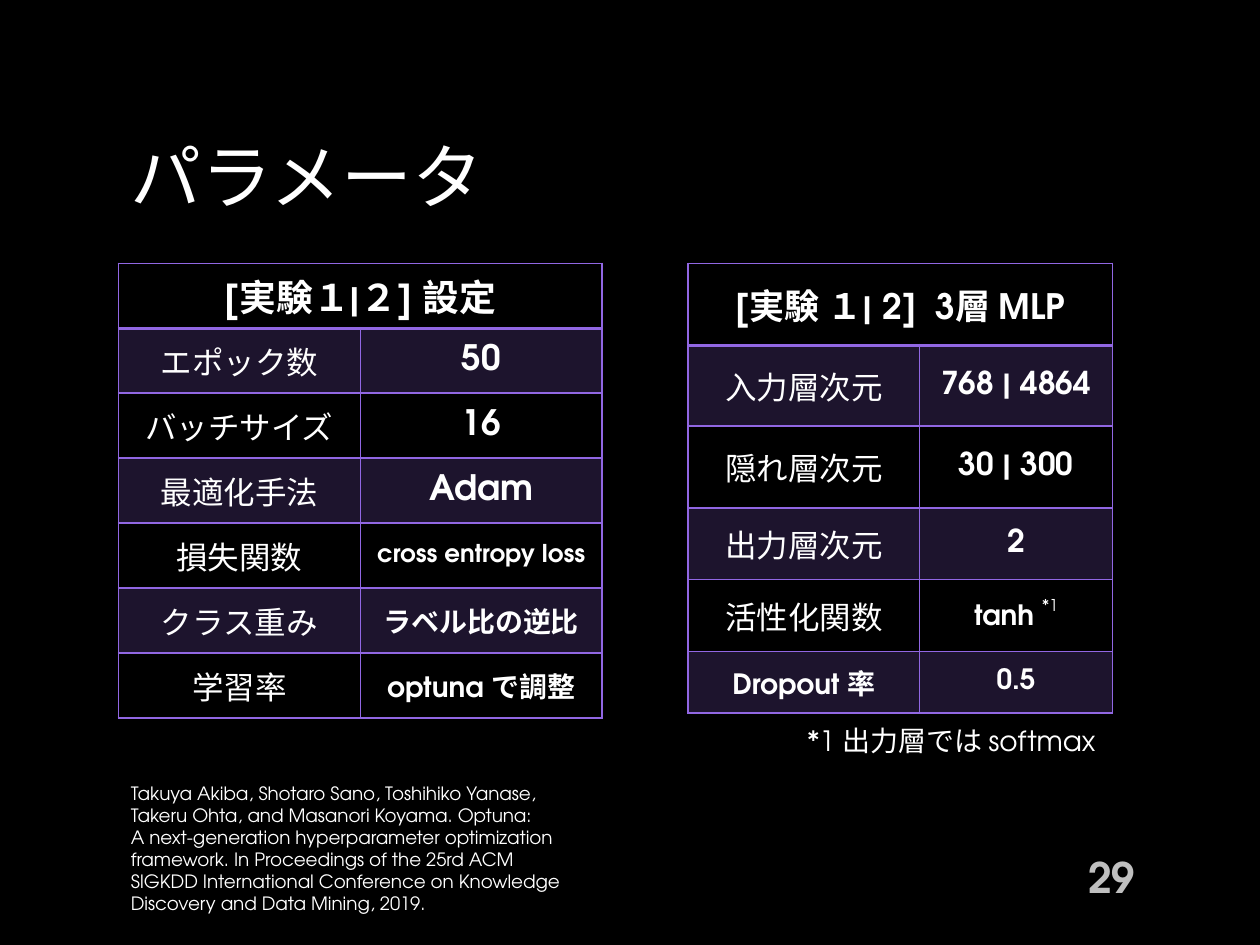
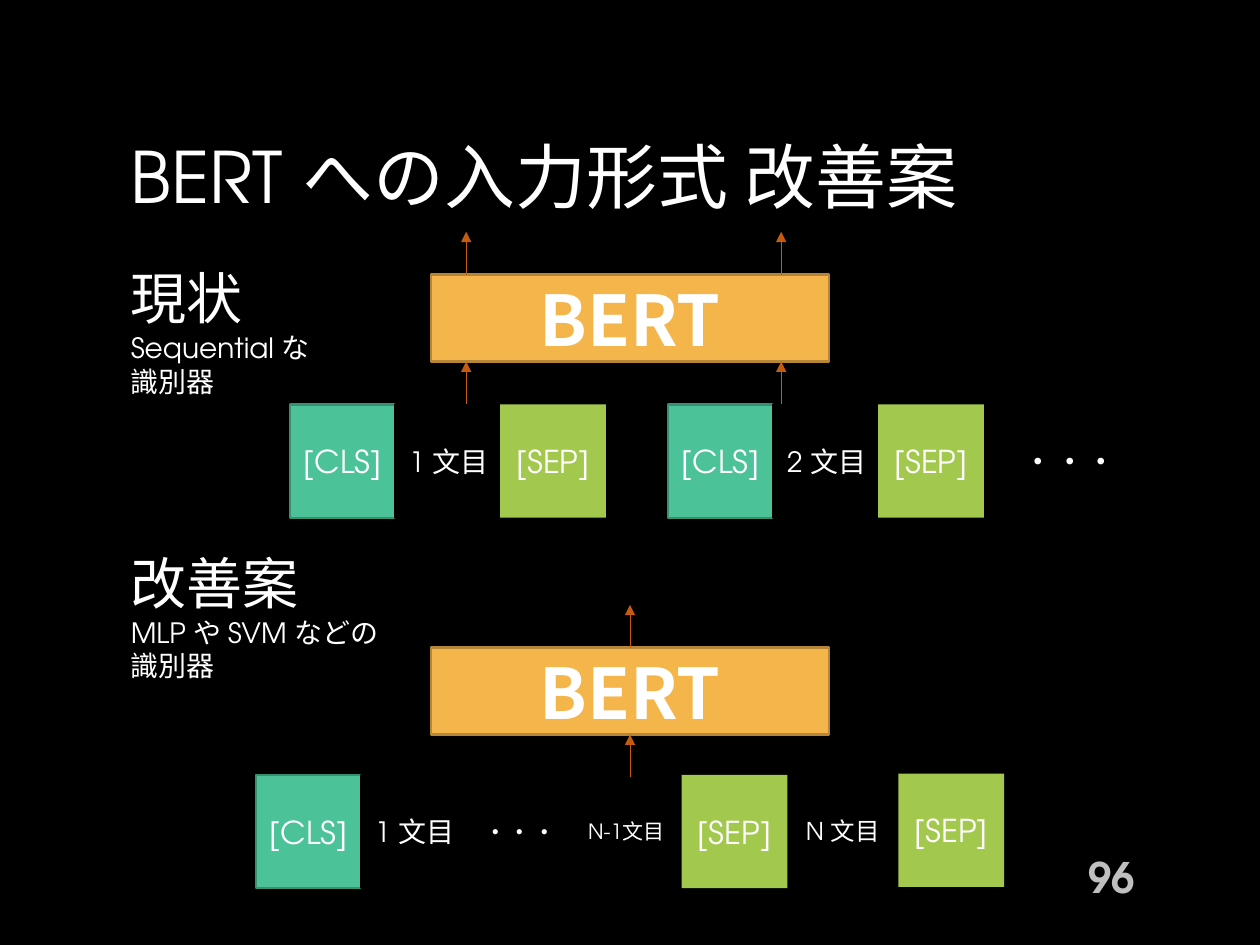
from dataclasses import dataclass
from lxml.etree import SubElement
from pptx import Presentation
from pptx.dml.color import RGBColor as RGB
from pptx.enum.shapes import MSO_CONNECTOR as LINE, MSO_SHAPE as SHAPE
from pptx.enum.text import MSO_ANCHOR as ANCHOR, PP_ALIGN as ALIGN
from pptx.oxml.ns import qn
from pptx.util import Pt

PX = 9144


@dataclass(frozen=True)
class Theme:
    back: str = "000000"
    text: str = "FFFFFF"
    muted: str = "BFBFBF"
    grid: str = "9167E3"
    arrow: str = "C55A11"
    model: str = "F4B54B"
    model_edge: str = "B58637"
    cls: str = "4BC298"
    cls_edge: str = "379070"
    sep: str = "A2C84E"
    font: str = "TeX Gyre Adventor"
    cjk: str = "Noto Sans CJK JP"
    title: float = 40.5
    model_name: int = 40
    heading: int = 32
    page: int = 24
    body: int = 18
    note: int = 16
    small: int = 14
    tiny: int = 12
    cite: float = 10.5


T = Theme()


def emu(*lengths):
    return [round(n * PX) for n in lengths]


def style(p, size, color=T.text, bold=False, align=ALIGN.LEFT, font=T.font):
    p.alignment = align
    for r in p.runs:
        r.font.size, r.font.bold, r.font.name = Pt(size), bold, font
        r.font.color.rgb = RGB.from_string(color)
        SubElement(r._r.get_or_add_rPr(), qn("a:ea"), typeface=T.cjk)


def add_text(s, box, lines, sizes, anchor=ANCHOR.TOP, **look):
    tf = s.shapes.add_textbox(*emu(*box)).text_frame
    tf.word_wrap = True
    tf.vertical_anchor = anchor
    tf.text = "\n".join(lines)
    for p, size in zip(tf.paragraphs, sizes):
        style(p, size, **look)


def add_slide(prs, title, page):
    s = prs.slides.add_slide(prs.slide_layouts[6])
    s.background.fill.solid()
    s.background.fill.fore_color.rgb = RGB.from_string(T.back)
    add_text(s, (94, 94, 812, 90), [title], [T.title], ANCHOR.MIDDLE)
    add_text(s, (781, 676, 130, 40), [page], [T.page], ANCHOR.MIDDLE,
             color=T.muted, bold=True, align=ALIGN.RIGHT)
    return s


def add_box(s, box, text, size, fill, edge=None, **look):
    sp = s.shapes.add_shape(SHAPE.RECTANGLE, *emu(*box))
    sp.shadow.inherit = False
    sp.fill.solid()
    sp.fill.fore_color.rgb = RGB.from_string(fill)
    if edge:
        sp.line.color.rgb = RGB.from_string(edge)
        sp.line.width = Pt(1.35)
    else:
        sp.line.fill.background()
    tf = sp.text_frame
    tf.word_wrap = True
    tf.vertical_anchor = ANCHOR.MIDDLE
    tf.text = text
    style(tf.paragraphs[0], size, align=ALIGN.CENTER, **look)
    return sp


def add_bert(s, y):
    return add_box(s, (342, y, 316, 69), "BERT", T.model_name, T.model,
                   T.model_edge, bold=True, font=T.cjk)


def add_token(s, x, y, text, size=T.body):
    fill, edge = {"[CLS]": (T.cls, T.cls_edge),
                  "[SEP]": (T.sep, None)}.get(text, (T.back, T.back))
    add_box(s, (x, y, 84, 90), text, size, fill, edge)


def add_up_arrow(s, x, bottom, length=34):
    c = s.shapes.add_connector(LINE.STRAIGHT, *emu(x, bottom, x, bottom - length))
    c.line.color.rgb = RGB.from_string(T.arrow)
    c.line.width = Pt(0.5)
    SubElement(c.line._get_or_add_ln(), qn("a:tailEnd"), type="triangle")
    SubElement(c._element.spPr, qn("a:effectLst"))
    return c


def add_border(cell, side, width):
    ln = SubElement(cell._tc.get_or_add_tcPr(), qn(f"a:ln{side}"), w=str(Pt(width)))
    SubElement(SubElement(ln, qn("a:solidFill")), qn("a:srgbClr"), val=T.grid)


def style_cell(cell, row, text, size, bold):
    cell.margin_left, cell.margin_top, cell.margin_right, cell.margin_bottom = emu(7, 4, 7, 4)
    cell.vertical_anchor = ANCHOR.MIDDLE
    for side in "LRTB":
        add_border(cell, side, 2 if (row, side) in ((0, "B"), (1, "T")) else 1)
    if row % 2:
        cell.fill.solid()
        cell.fill.fore_color.rgb = RGB.from_string(T.grid)
        color = cell._tc.tcPr.find(f"{qn('a:solidFill')}/{qn('a:srgbClr')}")
        SubElement(color, qn("a:alpha"), val="20000")
    else:
        cell.fill.background()
    cell.text_frame.text = text
    style(cell.text_frame.paragraphs[0], size, bold=bold, align=ALIGN.CENTER)


def add_params(s, box, widths, header, header_size, params, heights=()):
    table = s.shapes.add_table(len(params) + 1, 2, *emu(*box)).table
    table.first_row = table.horz_banding = False
    for col, width in zip(table.columns, emu(*widths)):
        col.width = width
    for row, height in zip(table.rows, emu(*heights)):
        row.height = height
    table.cell(0, 0).merge(table.cell(0, 1))
    style_cell(table.cell(0, 0), 0, header, header_size, True)
    style_cell(table.cell(0, 1), 0, "", header_size, True)
    for i, (name, name_size, value, value_size) in enumerate(params, 1):
        style_cell(table.cell(i, 0), i, name, name_size, name.startswith("Dropout"))
        style_cell(table.cell(i, 1), i, value, value_size, True)
    return table


def add_note_mark(cell, mark):
    p = cell.text_frame.paragraphs[0]
    r = p.add_run()
    r.text = mark
    r.font.size, r.font.bold, r.font.name = Pt(T.note), False, T.font
    r.font.color.rgb = RGB.from_string(T.text)
    r._r.get_or_add_rPr().set("baseline", "50000")


def build_parameters(prs):
    s = add_slide(prs, "パラメータ", "29")
    add_params(s, (94, 209, 384, 361), (192, 192), "[実験１|２] 設定", 21, [
        ("エポック数", T.body, "50", 20),
        ("バッチサイズ", T.body, "16", 20),
        ("最適化手法", T.body, "Adam", 20),
        ("損失関数", T.body, "cross entropy loss", T.small),
        ("クラス重み", T.body, "ラベル比の逆比", T.note),
        ("学習率", T.body, "optuna で調整", T.note)])
    mlp = add_params(s, (546, 209, 337, 357), (184, 153), "[実験 １| 2]  3層 MLP", 20, [
        ("入力層次元", T.body, "768 | 4864", T.body),
        ("隠れ層次元", T.body, "30 | 300", T.body),
        ("出力層次元", T.body, "2", T.body),
        ("活性化関数", T.body, "tanh ", T.note),
        ("Dropout 率", T.note, "0.5", T.note)], (65, 64, 65, 57, 57, 49))
    add_note_mark(mlp.cell(4, 1), "*1")
    add_text(s, (631, 569, 280, 37), ["*1 出力層では softmax"], [T.note])
    citation = ["Takuya Akiba, Shotaro Sano, Toshihiko Yanase,",
                "Takeru Ohta, and Masanori Koyama. Optuna:",
                "A next-generation hyperparameter optimization",
                "framework. In Proceedings of the 25rd ACM",
                "SIGKDD International Conference on Knowledge",
                "Discovery and Data Mining, 2019."]
    add_text(s, (94, 616, 426, 116), citation, [T.cite] * len(citation))


def build_input_formats(prs):
    s = add_slide(prs, "BERT への入力形式 改善案", "96")
    sizes = (T.heading, T.note, T.note)
    add_text(s, (94, 204, 227, 118), ["現状", "Sequential な", "識別器"], sizes)
    add_text(s, (94, 430, 227, 118), ["改善案", "MLP や SVM などの", "識別器"], sizes)

    add_bert(s, 218)
    for x, arrow_x, sentence in ((230, 370, "1 文目"), (530, 620, "2 文目")):
        add_token(s, x, 321, "[CLS]")
        add_token(s, x + 84, 321, sentence, T.note)
        add_token(s, x + 167, 321, "[SEP]")
        for bottom in (321, 218):
            add_up_arrow(s, arrow_x, bottom)
    add_text(s, (802, 346, 145, 40), ["・・・"], [T.body])

    bert = add_bert(s, 514)
    for i, (text, size) in enumerate((("[CLS]", T.body), ("1 文目", T.note),
                                      ("・・・", T.small), ("N-1文目", T.tiny))):
        add_token(s, 203 + 84 * i, 615, text, size)
    for i, (text, size) in enumerate((("[SEP]", T.body), ("N 文目", T.small),
                                      ("[SEP]", T.body))):
        add_token(s, 541 + 86 * i, 614 if i else 615, text, size)
    add_up_arrow(s, 500, 514).begin_connect(bert, 0)
    add_up_arrow(s, 500, 617).end_connect(bert, 2)


def main():
    prs = Presentation()
    prs.slide_width, prs.slide_height = emu(1000, 750)
    build_parameters(prs)
    build_input_formats(prs)
    prs.save("out.pptx")


if __name__ == "__main__":
    main()
